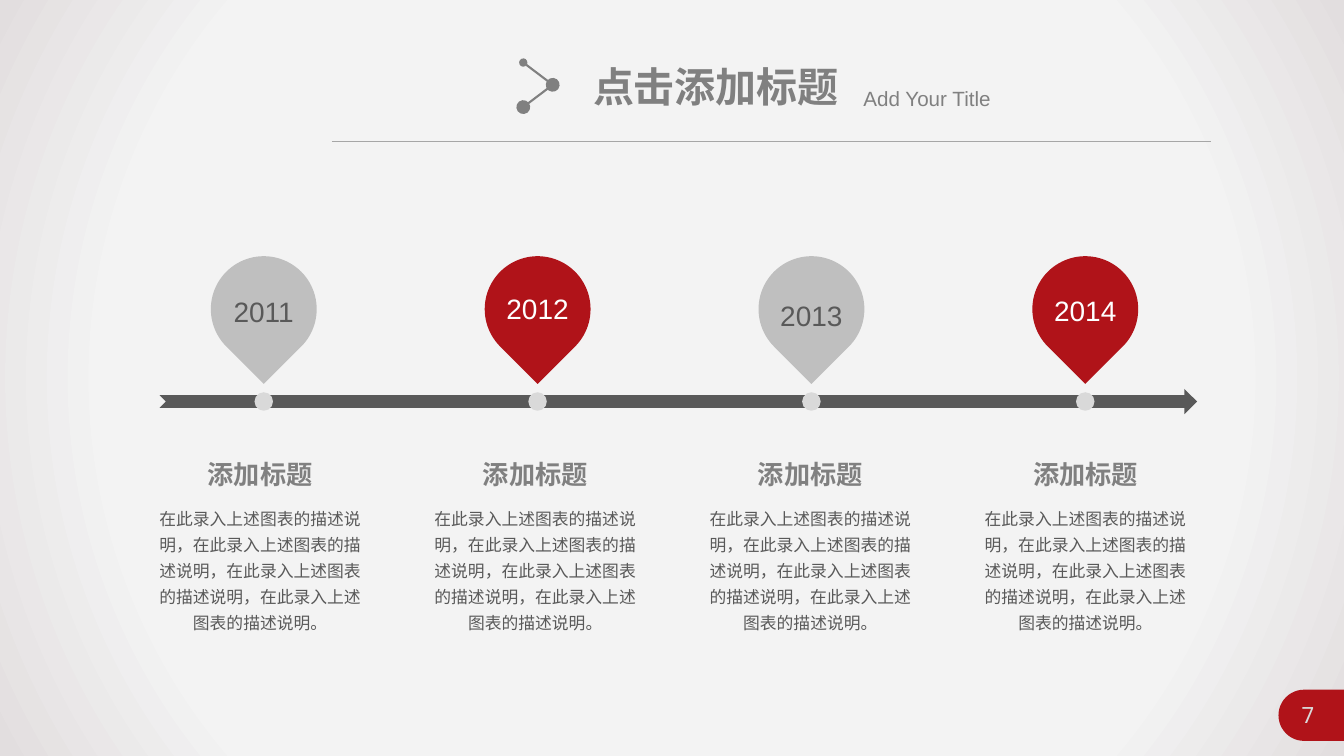
from lxml import etree
from pptx import Presentation
from pptx.dml.color import RGBColor
from pptx.enum.shapes import MSO_CONNECTOR as LINK, MSO_SHAPE as SHAPE
from pptx.enum.text import MSO_ANCHOR as ANCHOR, PP_ALIGN as ALIGN
from pptx.oxml import parse_xml
from pptx.oxml.ns import nsdecls, qn
from pptx.util import Inches, Pt

# Grid of 160 columns by 90 rows, twelve cells to the inch
COLS, ROWS, CELLS = 160, 90, 12

RED = RGBColor(0xB0, 0x13, 0x19)
WHITE = RGBColor(0xFF, 0xFF, 0xFF)
PALE = RGBColor(0xD9, 0xD9, 0xD9)
SILVER = RGBColor(0xBF, 0xBF, 0xBF)
ASH = RGBColor(0xA6, 0xA6, 0xA6)
GREY = RGBColor(0x80, 0x80, 0x80)
DARK = RGBColor(0x59, 0x59, 0x59)
GLOW = (0, RGBColor(0xF5, 0xF5, 0xF5)), (73, RGBColor(0xF3, 0xF3, 0xF3)), (100, RGBColor(0xE2, 0xDE, 0xDF))

HAN = "Noto Sans CJK SC"
TITLE = dict(name="Arial", size=Pt(29.3), bold=True, color=GREY)
SUB = dict(name="Arial", size=Pt(14.7), color=GREY)
YEAR = dict(name="Arial", size=Pt(20))
HEAD = dict(name=HAN, size=Pt(18.7), bold=True, color=GREY)
BODY = dict(name=HAN, size=Pt(12), color=DARK)
PAGE = dict(name="Noto Sans Mono", size=Pt(16), color=PALE)

# Year, top of its text from the top of the pin, whether it stands out
YEARS = [("2011", 3.2, False), ("2012", 3.6, True), ("2013", 3.6, False), ("2014", 3.9, True)]
LABEL = "添加标题"
NOTE = "，".join(["在此录入上述图表的描述说明"] * 4) + "。"


def grid(*cells):
    return [Inches(c / CELLS) for c in cells]


def shape(slide, kind, cells, color):
    item = slide.shapes.add_shape(kind, *grid(*cells))
    item.shadow.inherit = False
    item.fill.solid()
    item.fill.fore_color.rgb = color
    item.line.fill.background()
    return item


def line(slide, start, end, color, width, ends=()):
    """Draw a line; ends gives the sizes of the dots at its start and end."""
    item = slide.shapes.add_connector(LINK.STRAIGHT, *grid(*start, *end))
    item.line.color.rgb = color
    item.line.width = Pt(width)
    edge = item.line._get_or_add_ln()
    for tag, size in zip(("a:headEnd", "a:tailEnd"), ends):
        etree.SubElement(edge, qn(tag), type="oval", w=size, len=size)
    etree.SubElement(item.element.spPr, qn("a:effectLst"))


def write(frame, words, style, align=ALIGN.CENTER, space=1.0, wrap=True):
    frame.text = words
    frame.word_wrap = wrap
    frame.vertical_anchor = ANCHOR.TOP
    para = frame.paragraphs[0]
    para.alignment = align
    para.line_spacing = space
    font = para.runs[0].font
    for key, value in style.items():
        if key == "color":
            font.color.rgb = value
        else:
            setattr(font, key, value)
    east = etree.SubElement(para.runs[0].font._element, qn("a:ea"))
    east.set("typeface", HAN)


def text(slide, cells, words, style, **form):
    box = slide.shapes.add_textbox(*grid(*cells))
    write(box.text_frame, words, style, **form)


def backdrop(slide, box):
    item = shape(slide, SHAPE.RECTANGLE, box, WHITE)
    stops = "".join(f'<a:gs pos="{pos}000"><a:srgbClr val="{color}"/></a:gs>' for pos, color in GLOW)
    glow = parse_xml(
        f'<a:gradFill {nsdecls("a")}><a:gsLst>{stops}</a:gsLst><a:path path="circle">'
        '<a:fillToRect l="50000" t="50000" r="50000" b="50000"/></a:path></a:gradFill>')
    props = item.element.spPr
    props.replace(props.find(qn("a:solidFill")), glow)


def header(slide, box):
    x, y, w, h = box
    line(slide, (x, y + h), (x + w, y + h), ASH, 0.5)
    title = slide.shapes.title
    title.left, title.top, title.width, title.height = grid(x + 29.9, y, 32, 7.1)
    write(title.text_frame, "点击添加标题", TITLE, align=ALIGN.LEFT, wrap=False)
    title.element.getparent().append(title.element)  # in front of the backdrop
    text(slide, (x + 62.1, y + 2.9, 30.2, 4.2), "Add Your Title", SUB, align=ALIGN.LEFT)
    top, mid, low = (x + 22.8, y + 0.75), (x + 26.3, y + 3.4), (x + 22.8, y + 6.05)
    line(slide, top, mid, GREY, 1.5, ("med", "lg"))
    line(slide, mid, low, GREY, 1.5, ("med", "lg"))


def timeline(slide, box):
    x, y, w, h = box
    step, size, dot = w / len(YEARS), 12.6, 2.2
    shape(slide, SHAPE.NOTCHED_RIGHT_ARROW, (x + 3.9, y + h - 3, 123.5, 3), DARK)
    for i, (year, drop, strong) in enumerate(YEARS):
        mid = x + (i + 0.5) * step
        shape(slide, SHAPE.OVAL, (mid - dot / 2, y + h - 1.5 - dot / 2, dot, dot), PALE)
        pin = shape(slide, SHAPE.TEAR, (mid - size / 2, y, size, size), RED if strong else SILVER)
        pin.rotation = 135
        text(slide, (mid - 5.5, y + drop, 11, 6), year,
             YEAR | dict(color=WHITE if strong else DARK), space=1.0 if strong else 1.2)


def captions(slide, box):
    x, y, w, h = box
    step = w / len(YEARS)
    for i in range(len(YEARS)):
        mid = x + (i + 0.5) * step
        text(slide, (mid - 7.5, y, 15, 5), LABEL, HEAD, wrap=False)
        text(slide, (mid - 14.15, y + 5.2, 28.3, h - 5.2), NOTE, BODY, space=1.3)


def page(slide, box):
    x, y, w, h = box
    # The tab is drawn upright, then turned so that its round end faces left
    tab = shape(slide, SHAPE.ROUND_2_SAME_RECTANGLE, (x + (w - h) / 2, y + (h - w) / 2, h, w), RED)
    tab.adjustments[0] = 0.5
    tab.rotation = 270
    text(slide, (x - 0.45, y + 0.8, 7.9, 4.4), "7", PAGE)


def main():
    deck = Presentation()
    deck.slide_width, deck.slide_height = grid(COLS, ROWS)
    slide = deck.slides.add_slide(deck.slide_layouts[5])
    backdrop(slide, (0, 0, COLS, ROWS))
    header(slide, (39.5, 6.7, 104.7, 10.1))
    page(slide, (152.2, 82.1, 7.8, 6.1))
    timeline(slide, (15.1, 30.5, 130.4, 18.8))
    captions(slide, (14.6, 54, 131, 22.1))
    deck.save("out.pptx")


if __name__ == "__main__":
    main()
